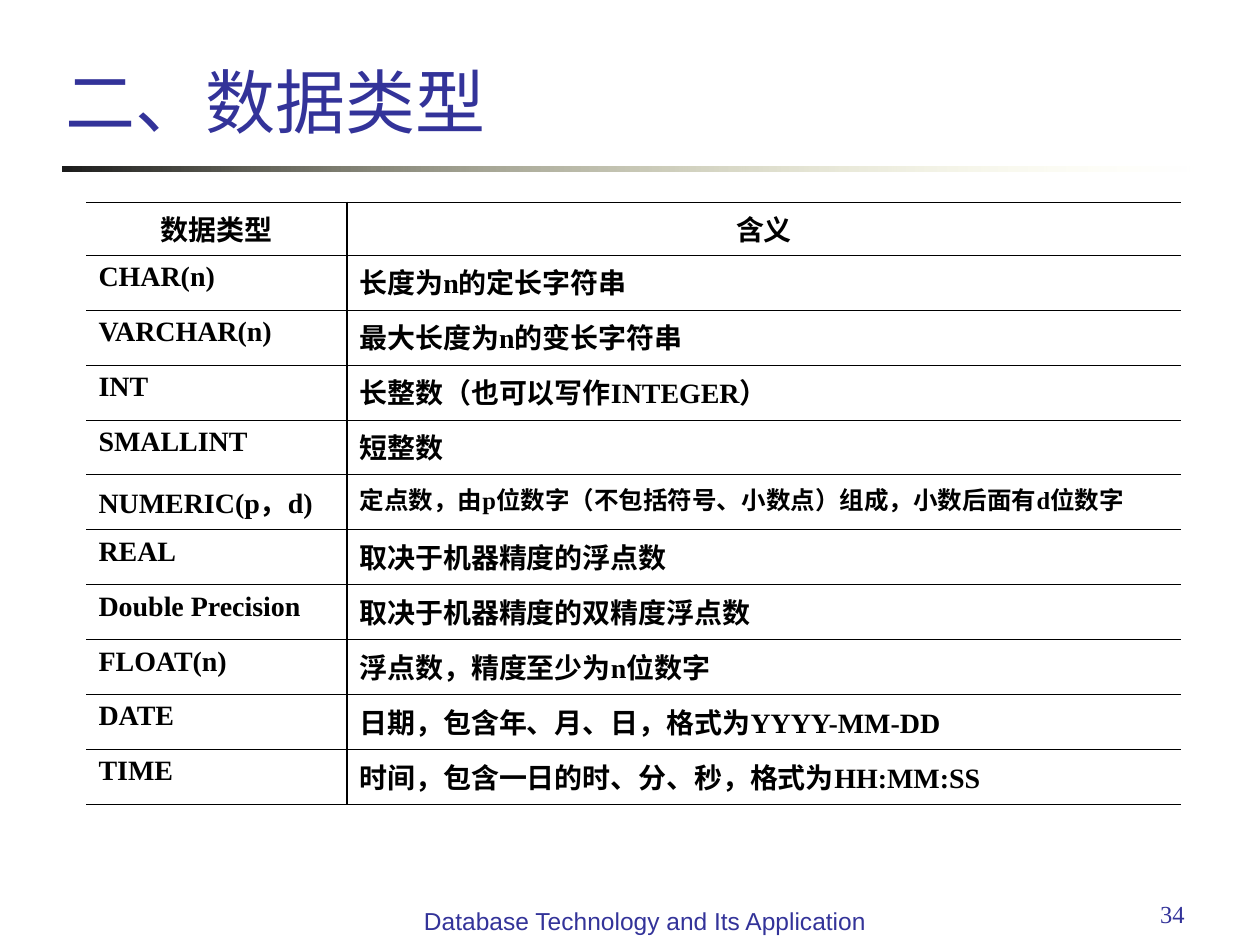
from dataclasses import dataclass

from lxml.etree import SubElement
from pptx import Presentation
from pptx.dml.color import RGBColor
from pptx.enum.shapes import MSO_SHAPE
from pptx.enum.text import MSO_ANCHOR, MSO_AUTO_SIZE, PP_ALIGN
from pptx.oxml import parse_xml
from pptx.oxml.ns import nsdecls, qn
from pptx.util import Pt


@dataclass
class Theme:
    accent: str = "333399"
    ink: str = "000000"
    rule_start: str = "1C1C1C"
    rule_end: str = "FFFFB7"
    sans: str = "Arial"
    serif: str = "Times New Roman"
    title: int = 40
    body: int = 16
    small: int = 14
    thin: float = 0.45
    thick: float = 1.08


theme = Theme()
SCALE = 914400 / 126


def px(*values):
    return [round(v * SCALE) for v in values]


def style(p, size, name, color, align, bold=False):
    p.alignment = align
    p.font.size = Pt(size)
    p.font.name = name
    p.font.bold = bold
    p.font.color.rgb = RGBColor.from_string(color)


prs = Presentation()
prs.slide_width, prs.slide_height = px(1260, 945)
s = prs.slides.add_slide(prs.slide_layouts[5])

rule = s.shapes.add_shape(MSO_SHAPE.RECTANGLE, *px(63, 167, 1134, 5))
rule.shadow.inherit = False
rule.line.fill.background()
rule.fill.gradient()
rule.fill.gradient_angle = 0
stops = rule.fill.gradient_stops
for stop, position, color in zip(stops, (0, 1), (theme.rule_start, theme.rule_end)):
    stop.position = position
    stop.color.rgb = RGBColor.from_string(color)
end_color = list(rule._element.spPr.iter(qn("a:srgbClr")))[-1]
SubElement(end_color, qn("a:alpha"), val="0")

title = s.shapes.title
title.left, title.top, title.width, title.height = px(53, 0, 1106, 149)
tf = title.text_frame
tf.text = "二、数据类型"
tf.auto_size = MSO_AUTO_SIZE.NONE
tf.vertical_anchor = MSO_ANCHOR.BOTTOM
style(tf.paragraphs[0], theme.title, theme.sans, theme.accent, PP_ALIGN.LEFT)

footers = [
    ("34", (903, 893, 294, 66), theme.serif, PP_ALIGN.RIGHT),
    ("Database Technology and Its Application", (402, 900, 486, 66), theme.sans, PP_ALIGN.CENTER),
]
for text, box, name, align in footers:
    tf = s.shapes.add_textbox(*px(*box)).text_frame
    tf.word_wrap = True
    tf.text = text
    style(tf.paragraphs[0], theme.small, name, theme.accent, align)

rows = [
    ("数据类型", "含义"),
    ("CHAR(n)", "长度为n的定长字符串"),
    ("VARCHAR(n)", "最大长度为n的变长字符串"),
    ("INT", "长整数（也可以写作INTEGER）"),
    ("SMALLINT", "短整数"),
    ("NUMERIC(p，d)", "定点数，由p位数字（不包括符号、小数点）组成，小数后面有d位数字"),
    ("REAL", "取决于机器精度的浮点数"),
    ("Double Precision", "取决于机器精度的双精度浮点数"),
    ("FLOAT(n)", "浮点数，精度至少为n位数字"),
    ("DATE", "日期，包含年、月、日，格式为YYYY-MM-DD"),
    ("TIME", "时间，包含一日的时、分、秒，格式为HH:MM:SS"),
]
table = s.shapes.add_table(len(rows), 2, *px(86, 202, 1095, 603)).table
table.first_row = table.horz_banding = False
for column, width in zip(table.columns, px(261, 834)):
    column.width = width

for i, row in enumerate(rows):
    table.rows[i].height = px(55 if i else 53)[0]
    for j, text in enumerate(row):
        cell = table.cell(i, j)
        cell.text = text
        cell.fill.background()
        size = theme.small if len(text) > 30 else theme.body
        align = PP_ALIGN.LEFT if i else PP_ALIGN.CENTER
        style(cell.text_frame.paragraphs[0], size, theme.serif, theme.ink, align, True)
        borders = {
            "lnL": theme.thick if j else 0,
            "lnR": 0 if j else theme.thick,
            "lnT": theme.thin,
            "lnB": theme.thin,
        }
        for k, (tag, width) in enumerate(borders.items()):
            paint = f'<a:solidFill><a:srgbClr val="{theme.ink}"/></a:solidFill>' if width else "<a:noFill/>"
            line = parse_xml(f'<a:{tag} {nsdecls("a")} w="{Pt(width)}">{paint}</a:{tag}>')
            cell._tc.get_or_add_tcPr().insert(k, line)

prs.save("out.pptx")
